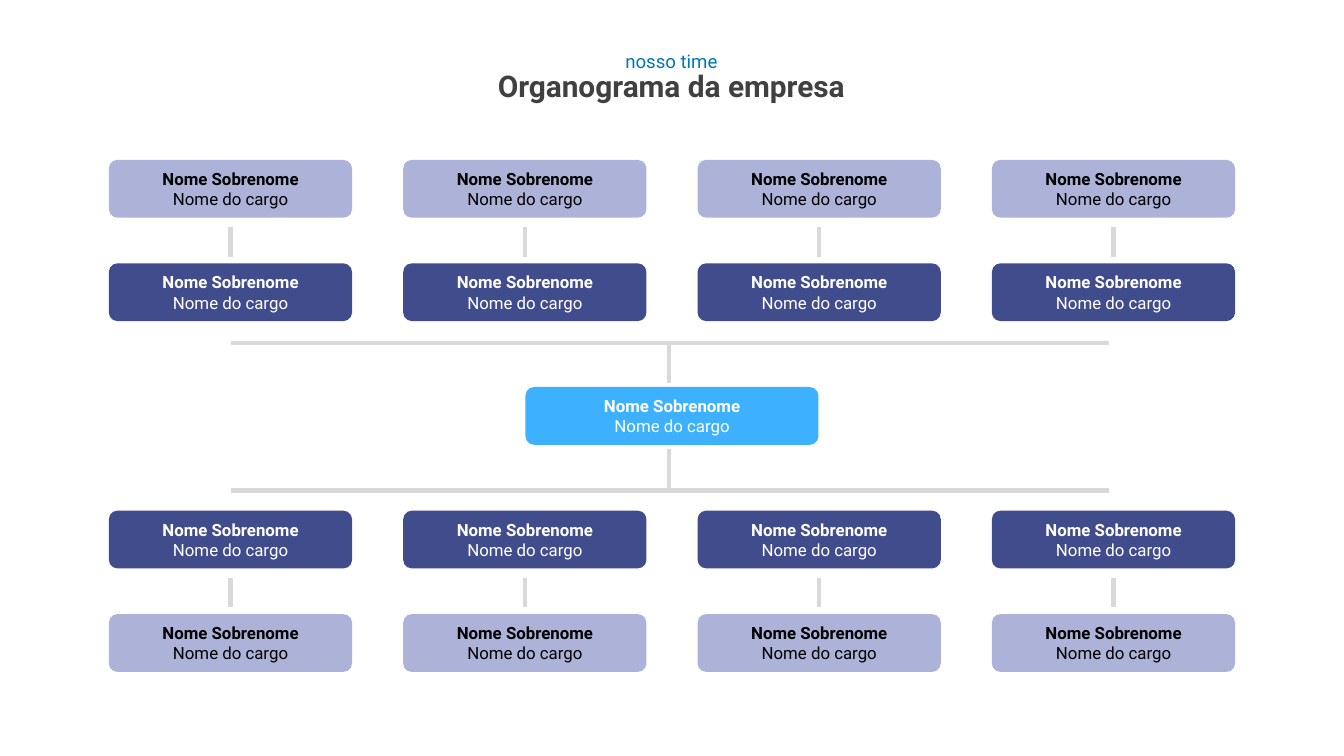
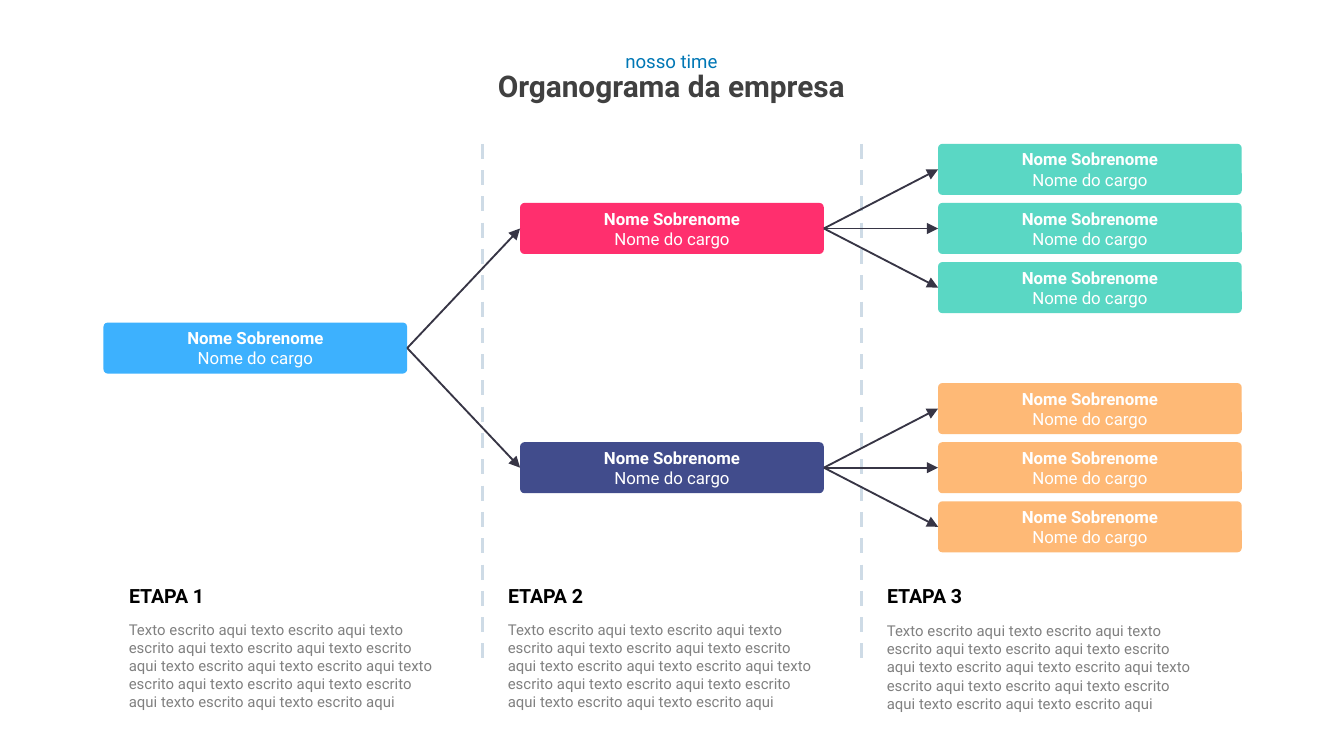
import pptx
import pptx.util
import pptx.dml.color
import pptx.enum.dml
import pptx.enum.shapes
import pptx.enum.text
import pptx.oxml.ns
import lxml.etree

Inches = pptx.util.Inches
Align = pptx.enum.text.PP_ALIGN
Anchor = pptx.enum.text.MSO_ANCHOR


class Theme:
    font = "Roboto"
    title, kicker, body = "404040", "0077B5", "808080"
    black, white = "000000", "FFFFFF"
    sky, navy, lavender = "3DB1FE", "414C8C", "ACB2D8"
    pink, teal, orange = "FF2F6E", "5AD7C4", "FEB976"
    rule, divider, arrow = "D9D9D9", "CEDBE6", "373545"
    title_size, kicker_size, heading_size, card_size, body_size = 16, 10, 10.5, 9, 8


def add_text(s, box, text, size=Theme.card_size, color=Theme.white, bold=False,
             align=Align.CENTER, anchor=Anchor.MIDDLE, inset=None, wrap=True,
             spacing=None, fill=None, radius=0, sp=None):
    if fill:
        sp = s.shapes.add_shape(pptx.enum.shapes.MSO_SHAPE.ROUNDED_RECTANGLE, *map(Inches, box))
        sp.adjustments[0] = radius
        sp.shadow.inherit = False
        sp.fill.solid()
        sp.fill.fore_color.rgb = pptx.dml.color.RGBColor.from_string(fill)
        sp.line.fill.background()
    elif sp is None:
        sp = s.shapes.add_textbox(*map(Inches, box))
    else:
        sp.left, sp.top, sp.width, sp.height = map(Inches, box)
    tf = sp.text_frame
    tf.auto_size = pptx.enum.text.MSO_AUTO_SIZE.NONE
    tf.word_wrap = wrap
    tf.vertical_anchor = anchor
    if inset is not None:
        tf.margin_left = tf.margin_top = tf.margin_right = tf.margin_bottom = Inches(inset)
    for i, words in enumerate(text.split("\n")):
        p = tf.add_paragraph() if i else tf.paragraphs[0]
        p.alignment = align
        if spacing:
            p.line_spacing = pptx.util.Pt(spacing)
        r = p.add_run()
        r.text = words
        r.font.name = Theme.font
        r.font.size = pptx.util.Pt(size)
        r.font.bold = bold and i == 0
        r.font.color.rgb = pptx.dml.color.RGBColor.from_string(color)
    return sp


def add_line(s, ends, color, width):
    ln = s.shapes.add_connector(pptx.enum.shapes.MSO_CONNECTOR.STRAIGHT, *map(Inches, ends))
    ln.line.color.rgb = pptx.dml.color.RGBColor.from_string(color)
    ln.line.width = pptx.util.Pt(width)
    lxml.etree.SubElement(ln._element.spPr, pptx.oxml.ns.qn("a:effectLst"))
    return ln


prs = pptx.Presentation()
prs.slide_width = Inches(10)
prs.slide_height = prs.slide_width * 9 // 16
person = "Nome Sobrenome\nNome do cargo"

for _ in range(2):
    s = prs.slides.add_slide(prs.slide_layouts[5])
    add_text(s, (3.59, 0.45, 2.81, 0.37), "Organograma da empresa", size=Theme.title_size,
             color=Theme.title, bold=True, anchor=Anchor.TOP, wrap=False, sp=s.shapes.title)
    add_text(s, (4.55, 0.32, 0.89, 0.27), "nosso time", size=Theme.kicker_size,
             color=Theme.kicker, anchor=Anchor.TOP, wrap=False)

mirrored, staged = prs.slides

card_w, card_h, pitch = 1.81, 0.43, 2.19
add_text(mirrored, (3.91, 2.88, 2.18, card_h), person, bold=True, inset=0,
         fill=Theme.sky, radius=0.15)
for y, fill, color in ((1.19, Theme.lavender, Theme.black), (1.96, Theme.navy, Theme.white),
                       (3.8, Theme.navy, Theme.white), (4.57, Theme.lavender, Theme.black)):
    for col in range(4):
        add_text(mirrored, (0.81 + col * pitch, y, card_w, card_h), person, color=color,
                 bold=True, inset=0, fill=fill, radius=0.15)
for y in (1.69, 4.3):
    for col in range(4):
        x = 0.81 + col * pitch + card_w / 2
        add_line(mirrored, (x, y, x, y + 0.22), Theme.rule, 2.25)
for bar_y, stem_y in ((2.55, 2.85), (3.65, 3.34)):
    add_line(mirrored, (1.72, bar_y, 8.25, bar_y), Theme.rule, 2.25)
    add_line(mirrored, (4.98, stem_y, 4.98, bar_y), Theme.rule, 2.25)

for x in (3.59, 6.41):
    ln = add_line(staged, (x, 1.07, x, 4.93), Theme.divider, 2)
    ln.line.dash_style = pptx.enum.dml.MSO_LINE.DASH

node_w, node_h, step = 2.26, 0.38, 0.44
node = dict(bold=True, inset=0, radius=0.085)
root = add_text(staged, (0.77, 2.4, node_w, node_h), person, fill=Theme.sky, **node)
links = []
for y, fill, leaf_fill in ((1.51, Theme.pink, Theme.teal), (3.29, Theme.navy, Theme.orange)):
    branch = add_text(staged, (3.87, y, node_w, node_h), person, fill=fill, **node)
    links.append((root, branch))
    for row in (-1, 0, 1):
        leaf = add_text(staged, (6.98, y + row * step, node_w, node_h), person,
                        fill=leaf_fill, **node)
        links.append((branch, leaf))
for parent, child in links:
    ln = add_line(staged, (0, 0, 1, 1), Theme.arrow, 1)
    ln.begin_connect(parent, 3)
    ln.end_connect(child, 1)
    lxml.etree.SubElement(ln.line._get_or_add_ln(), pptx.oxml.ns.qn("a:tailEnd"), type="triangle")

body = "Texto escrito aqui" + " texto escrito aqui" * 11
for col, spacing in enumerate((None, None, 9.8)):
    x = 0.94 + col * 2.82
    add_text(staged, (x, 4.33, 1.78, 0.2), f"ETAPA {col + 1}", size=Theme.heading_size,
             color=Theme.black, bold=True, align=Align.LEFT, inset=0.02)
    add_text(staged, (x - 0.08, 4.57, 2.49, 0.7), body, size=Theme.body_size, color=Theme.body,
             align=Align.LEFT, anchor=Anchor.TOP, spacing=spacing)

prs.save("out.pptx")
